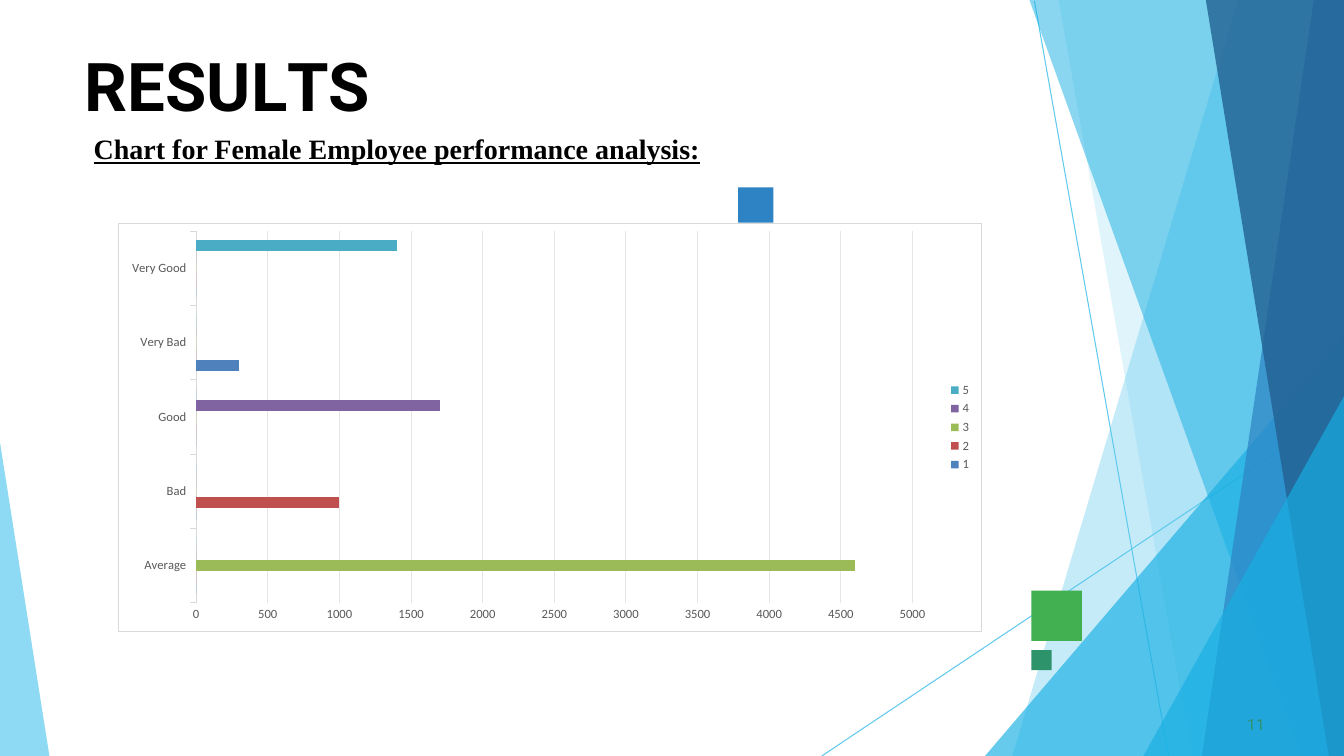
"""Build the results slide with its female employee performance chart."""
import lxml.etree as etree
import pptx
import pptx.chart.data
import pptx.dml.color
import pptx.enum.chart
import pptx.enum.shapes
import pptx.enum.text
import pptx.oxml
import pptx.oxml.ns
import pptx.util

Inches = pptx.util.Inches
Pt = pptx.util.Pt
RGBColor = pptx.dml.color.RGBColor
qn = pptx.oxml.ns.qn

WIDTH, HEIGHT = 13.33, 7.5
BLACK = RGBColor(0x00, 0x00, 0x00)
WHITE = RGBColor(0xFF, 0xFF, 0xFF)
SKY = RGBColor(0x5F, 0xCA, 0xEE)
CYAN = RGBColor(0x17, 0xAF, 0xE3)
BLUE = RGBColor(0x2D, 0x83, 0xC3)
NAVY = RGBColor(0x22, 0x61, 0x92)
GREEN = RGBColor(0x42, 0xAF, 0x51)
TEAL = RGBColor(0x2D, 0x93, 0x6B)
LABEL_GREY = RGBColor(0x59, 0x59, 0x59)
AXIS_GREY = RGBColor(0xD9, 0xD9, 0xD9)
GRID_GREY = RGBColor(0xE6, 0xE6, 0xE6)

RATINGS = ["Average", "Bad", "Good", "Very Bad", "Very Good"]
SCORES = [
    ("1", "Very Bad", 300, RGBColor(0x4F, 0x81, 0xBD)),
    ("2", "Bad", 1000, RGBColor(0xC0, 0x50, 0x4D)),
    ("3", "Average", 4600, RGBColor(0x9B, 0xBB, 0x59)),
    ("4", "Good", 1700, RGBColor(0x80, 0x64, 0xA2)),
    ("5", "Very Good", 1400, RGBColor(0x4B, 0xAC, 0xC6)),
]
RAYS = [((10.26, 0.01), (11.59, HEIGHT)), ((WIDTH, 4.04), (8.15, HEIGHT))]


def right_facet(top, left_top, left_bottom):
    """Return the corners of a facet that ends at the right edge."""
    return [(WIDTH, top), (left_top, top), (left_bottom, HEIGHT), (WIDTH, HEIGHT)]


FACETS = [
    (right_facet(0, 12.28, 10.04), SKY, 36),
    (right_facet(0, 10.5, 11.82), SKY, 20),
    (right_facet(3.33, WIDTH, 9.77), CYAN, 66),
    (right_facet(0, 10.21, 12.91), CYAN, 50),
    (right_facet(0, 13.03, 11.92), BLUE, 70),
    (right_facet(0, 11.96, 13.18), NAVY, 80),
    (right_facet(3.93, WIDTH, 11.34), CYAN, 66),
    ([(0, 4.39), (0, HEIGHT), (0.49, HEIGHT)], SKY, 70),
]
SQUARES = [(10.23, 5.86, 0.5, GREEN), (7.32, 1.86, 0.35, BLUE), (10.23, 6.45, 0.2, TEAL)]
TITLE_RUNS = [("R", 0), ("E", -0.4), ("S", 0.1), ("U", -0.3), ("L", -4), ("TS", 0)]


class SlideBuilder:
    """Hold the slide and the chart style, and draw each kind of element."""

    chart_font = "Calibri"
    label_size = Pt(9)
    line_width = Pt(0.75)

    def __init__(self, slide):
        self.slide = slide
        self.shapes = slide.shapes

    def ray(self, start, end):
        """Draw a thin straight line."""
        ray = self.shapes.add_connector(
            pptx.enum.shapes.MSO_CONNECTOR.STRAIGHT, *map(Inches, start + end))
        ray.line.color.rgb = SKY
        ray.line.width = self.line_width
        etree.SubElement(ray._element.spPr, qn("a:effectLst"))

    def paint(self, shape, color):
        """Give a shape a flat fill without line or shadow."""
        shape.shadow.inherit = False
        shape.fill.solid()
        shape.fill.fore_color.rgb = color
        shape.line.fill.background()

    def facet(self, corners, color, opacity):
        """Draw a translucent polygon."""
        points = [(Inches(x), Inches(y)) for x, y in corners]
        outline = self.shapes.build_freeform(*points[0])
        outline.add_line_segments(points[1:], close=True)
        facet = outline.convert_to_shape()
        self.paint(facet, color)
        tint = facet._element.spPr.find(qn("a:solidFill"))[0]
        etree.SubElement(tint, qn("a:alpha"), val=str(opacity * 1000))

    def square(self, left, top, side, color):
        """Draw a plain square."""
        square = self.shapes.add_shape(
            pptx.enum.shapes.MSO_SHAPE.RECTANGLE, *map(Inches, (left, top, side, side)))
        self.paint(square, color)

    def text(self, box, runs, font, size, color, bold=False, underline=None,
             margins=(0, 0.01, 0, 0), indent=0, space_before=0):
        """Add one paragraph whose runs have their own letter spacing."""
        frame = self.shapes.add_textbox(*map(Inches, box)).text_frame
        frame.word_wrap = True
        frame.auto_size = pptx.enum.text.MSO_AUTO_SIZE.SHAPE_TO_FIT_TEXT
        (frame.margin_left, frame.margin_top,
         frame.margin_right, frame.margin_bottom) = map(Inches, margins)
        paragraph = frame.paragraphs[0]
        paragraph.space_before = Pt(space_before)
        paragraph._p.get_or_add_pPr().set("marL", str(Inches(indent)))
        paragraph.font.name = font
        paragraph.font.size = Pt(size)
        paragraph.font.bold = bold
        paragraph.font.underline = underline
        paragraph.font.color.rgb = color
        for letters, spacing in runs:
            run = paragraph.add_run()
            run.text = letters
            if spacing:
                run._r.get_or_add_rPr().set("spc", str(round(spacing * 100)))

    def style_labels(self, font):
        """Apply the chart label style."""
        font.name = self.chart_font
        font.size = self.label_size
        font.color.rgb = LABEL_GREY

    def style_line(self, line, color):
        """Apply a thin chart line."""
        line.color.rgb = color
        line.width = self.line_width

    def frame_chart(self, chart):
        """Give the chart area its fill and border, and place the plot area."""
        namespaces = pptx.oxml.ns.nsdecls("c", "a")
        area = pptx.oxml.parse_xml(
            f'<c:spPr {namespaces}><a:solidFill><a:srgbClr val="{WHITE}"/></a:solidFill>'
            f'<a:ln w="{self.line_width}"><a:solidFill><a:srgbClr val="{AXIS_GREY}"/>'
            '</a:solidFill></a:ln></c:spPr>')
        chart._chartSpace.find(qn("c:chart")).addnext(area)
        plot_area = chart._chartSpace.find(qn("c:chart")).find(qn("c:plotArea"))
        for layout in plot_area.findall(qn("c:layout")):
            plot_area.remove(layout)
        places = "".join(f'<c:{key} val="{value}"/>' for key, value in (
            ("layoutTarget", "inner"), ("xMode", "edge"), ("yMode", "edge"),
            ("x", 0.09), ("y", 0.02), ("w", 0.83), ("h", 0.91)))
        plot_area.insert(0, pptx.oxml.parse_xml(
            f"<c:layout {namespaces}><c:manualLayout>{places}</c:manualLayout></c:layout>"))

    def bar_chart(self, box, ratings, scores):
        """Add the clustered bar chart with one series per score."""
        data = pptx.chart.data.CategoryChartData()
        data.categories = ratings
        for name, rating, count, _ in scores:
            data.add_series(name, [count if rating == each else 0 for each in ratings])
        chart = self.shapes.add_chart(
            pptx.enum.chart.XL_CHART_TYPE.BAR_CLUSTERED, *map(Inches, box), data).chart
        chart.font.name = self.chart_font
        chart.font.size = Pt(10)
        chart.font.color.rgb = BLACK
        chart.has_title = False
        chart.has_legend = True
        chart.legend.position = pptx.enum.chart.XL_LEGEND_POSITION.RIGHT
        chart.legend.include_in_layout = False
        self.style_labels(chart.legend.font)
        plot = chart.plots[0]
        plot.gap_width = 150
        plot.vary_by_categories = False
        for series, (_, _, _, color) in zip(plot.series, scores):
            series.format.fill.solid()
            series.format.fill.fore_color.rgb = color
        rating_axis, count_axis = chart.category_axis, chart.value_axis
        tick = pptx.enum.chart.XL_TICK_MARK
        for axis, mark in ((rating_axis, tick.OUTSIDE), (count_axis, tick.NONE)):
            self.style_labels(axis.tick_labels.font)
            axis.major_tick_mark = mark
            axis.minor_tick_mark = tick.NONE
        self.style_line(rating_axis.format.line, AXIS_GREY)
        count_axis.format.line.fill.background()
        self.style_line(count_axis.major_gridlines.format.line, GRID_GREY)
        count_axis.minimum_scale, count_axis.maximum_scale = 0, 5000
        count_axis.major_unit = 500
        self.frame_chart(chart)


def main():
    """Build and save the slide."""
    deck = pptx.Presentation()
    deck.slide_width, deck.slide_height = Inches(WIDTH), Inches(HEIGHT)
    results = SlideBuilder(deck.slides.add_slide(deck.slide_layouts[6]))
    for ray in RAYS:
        results.ray(*ray)
    for facet in FACETS:
        results.facet(*facet)
    for square in SQUARES:
        results.square(*square)
    results.text((0.83, 0.43, 11.68, 0.83), TITLE_RUNS, "Roboto", 48, BLACK,
                 bold=True, indent=0.01, space_before=1.1)
    results.text((12.33, 7.08, 0.25, 0.21), [("11", 0.1)], "Roboto", 11, TEAL,
                 indent=0.04, space_before=0.6)
    results.text((0.83, 1.26, 6.5, 0.44),
                 [("Chart for Female Employee performance analysis:", 0)],
                 "Times New Roman", 20, BLACK, bold=True, underline=True,
                 margins=(0.1, 0.05, 0.1, 0.05))
    results.bar_chart((1.17, 2.21, 8.57, 4.06), RATINGS, SCORES)
    deck.save("out.pptx")


if __name__ == "__main__":
    main()
